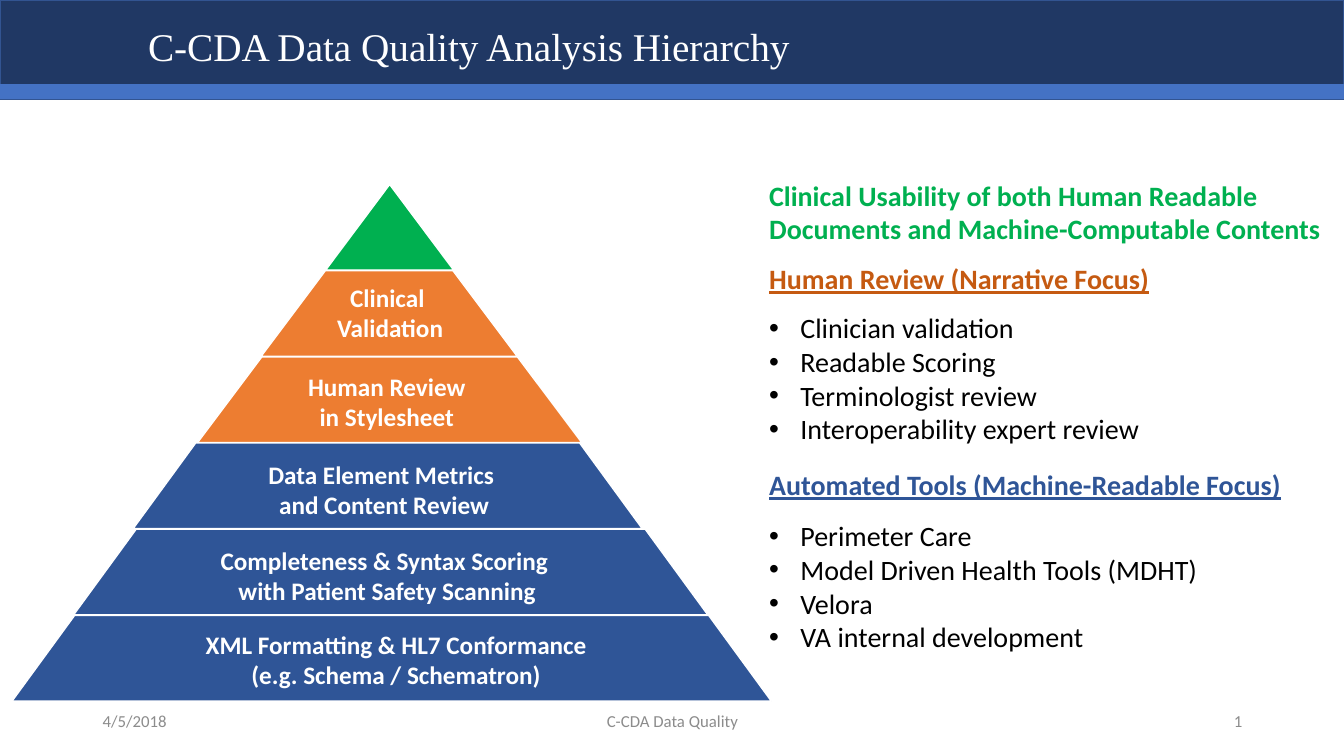
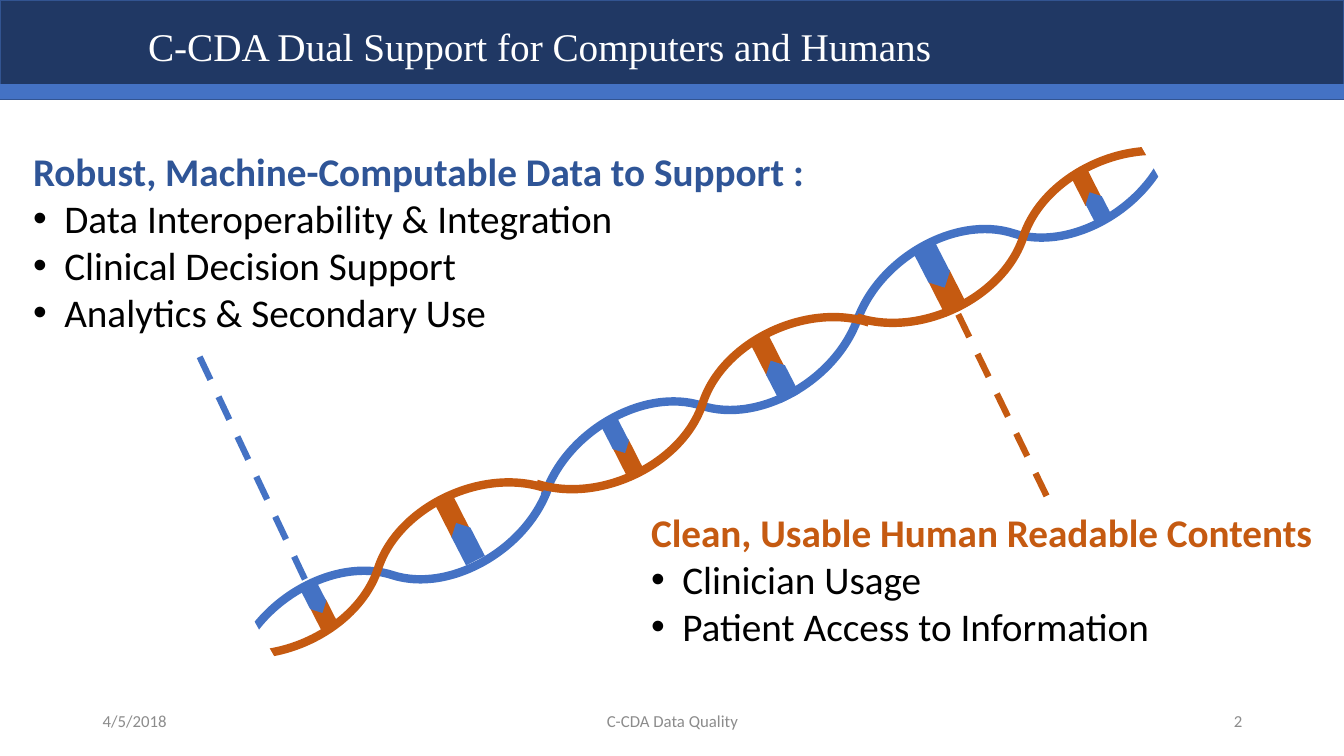
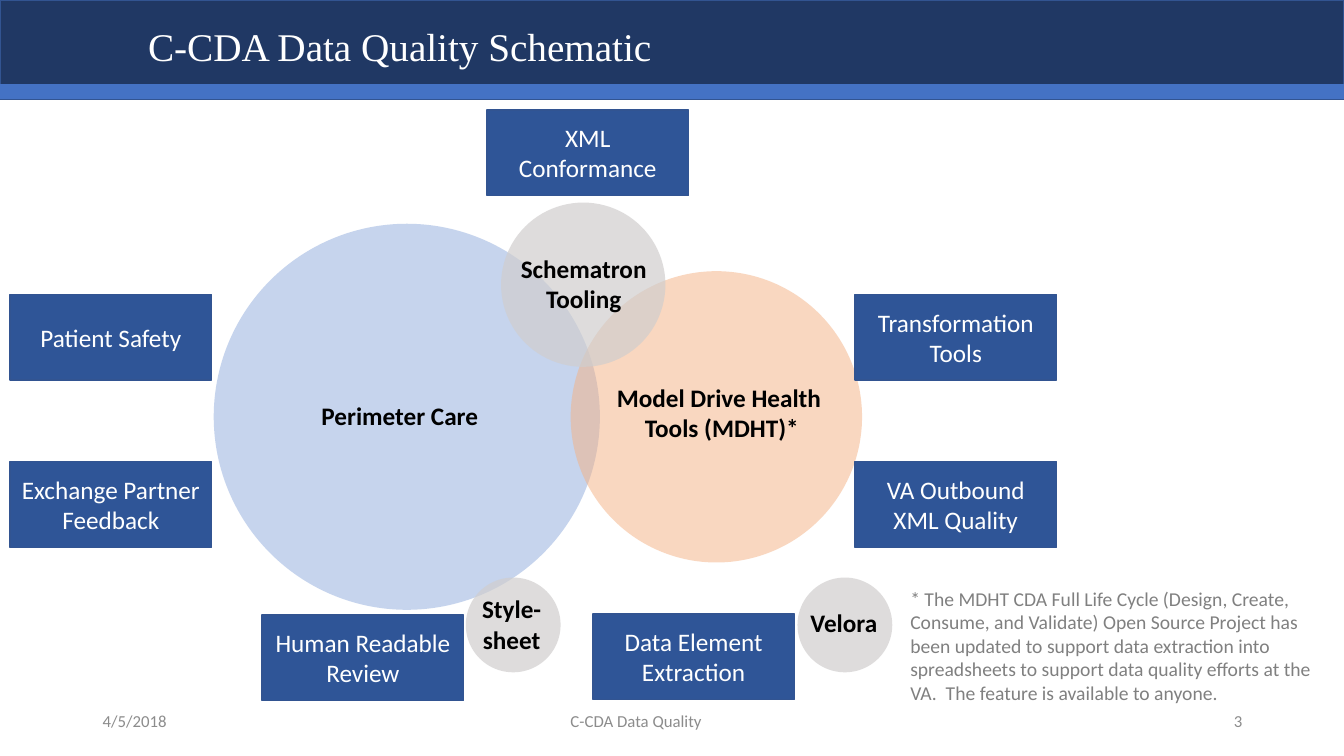
from pptx import Presentation
from pptx.dml.color import RGBColor
from pptx.enum.dml import MSO_LINE
from pptx.enum.shapes import MSO_CONNECTOR, MSO_SHAPE
from pptx.enum.text import MSO_ANCHOR, MSO_AUTO_SIZE, PP_ALIGN
from pptx.oxml.ns import qn
from pptx.util import Inches, Pt
from lxml import etree

RECT, OVAL, PLATE = MSO_SHAPE.RECTANGLE, MSO_SHAPE.OVAL, MSO_SHAPE.PENTAGON
TRIANGLE, TRAPEZOID = MSO_SHAPE.ISOSCELES_TRIANGLE, MSO_SHAPE.TRAPEZOID
STRAIGHT, CURVE = MSO_CONNECTOR.STRAIGHT, MSO_CONNECTOR.CURVE
LEFT, CENTER, RIGHT = PP_ALIGN.LEFT, PP_ALIGN.CENTER, PP_ALIGN.RIGHT
TOP, MIDDLE = MSO_ANCHOR.TOP, MSO_ANCHOR.MIDDLE
GROW = MSO_AUTO_SIZE.SHAPE_TO_FIT_TEXT
DASH = MSO_LINE.DASH

COLORS = {
    "navy": "203864", "edge": "325491", "blue": "4472C4", "deep": "2F5597",
    "green": "00B050", "orange": "ED7D31", "rust": "C55A11", "white": "FFFFFF",
    "black": "000000", "footer": "8C8C8C", "note": "808080",
    "pale blue": "8FAADC", "peach": "F4B183", "gray": "D0CECE",
}

# Shared text formats
TITLE = {"name": "Times New Roman", "size": 28, "color": "white"}
FOOTER = {"name": "Calibri", "size": 12, "color": "footer"}
TIER_TEXT = {"name": "Calibri", "size": 18, "bold": True, "color": "white"}
BOX_TEXT = TIER_TEXT | {"bold": False}
CIRCLE_TEXT = TIER_TEXT | {"color": "black"}
NOTE = {"name": "Calibri", "size": 14, "color": "note"}

# Slide content
TITLES = [
    "C-CDA Data Quality Analysis Hierarchy",
    "C-CDA Dual Support for Computers and Humans",
    "C-CDA Data Quality Schematic",
]
FOOTER_LEFTS = [4.42, 4.42, 4.06]

TIER_TOP, TIER_PITCH, TIER_HEIGHT = 1.83, 0.855, 0.85
TIERS = [  # preset, left, width, slant, fill
    (TRIANGLE, 3.23, 1.27, 0.5, "green"),
    (TRAPEZOID, 2.59, 2.54, 0.75, "orange"),
    (TRAPEZOID, 1.96, 3.81, 0.75, "orange"),
    (TRAPEZOID, 1.32, 5.05, 0.73, "deep"),
    (TRAPEZOID, 0.73, 6.29, 0.73, "deep"),
    (TRAPEZOID, 0.12, 7.53, 0.73, "deep"),
]
TIER_LABELS = [  # place, text, wrap
    ((3.18, 2.75, 1.38, 0.77), "Clinical \nValidation", False),
    ((2.95, 3.63, 1.83, 0.71), "Human Review \nin Stylesheet ", False),
    ((2.09, 4.51, 3.44, 0.71), "Data Element Metrics \nand Content Review", True),
    ((1.27, 5.36, 5.14, 0.77),
     "Completeness & Syntax Scoring \nwith Patient Safety Scanning", True),
    ((1.73, 6.19, 4.4, 0.77),
     "XML Formatting & HL7 Conformance\n(e.g. Schema / Schematron)", False),
]
USABILITY = ("Clinical Usability of both Human Readable Documents "
             "and Machine-Computable Contents")
REVIEW_LISTS = [  # place, heading, colour, gap after heading, bullets
    ((7.53, 2.55, 4, 2.36), "Human Review (Narrative Focus)", "rust", 11,
     ["Clinician validation", "Readable Scoring ", "Terminologist review",
      "Interoperability expert review"]),
    ((7.53, 4.59, 5.32, 2.02), "Automated Tools (Machine-Readable Focus)", "deep", 12.5,
     ["Perimeter Care", "Model Driven Health Tools (MDHT)", "Velora",
      "VA internal development"]),
]

SUPPORT_LISTS = [
    ((0.23, 1.41, 7.94, 1.99), "Robust, Machine-Computable Data to Support :", "deep", 0,
     ["Data Interoperability & Integration", "Clinical Decision Support ",
      "Analytics & Secondary Use"]),
    ((6.36, 4.99, 6.84, 1.51), "Clean, Usable Human Readable Contents", "rust", 0,
     ["Clinician Usage", "Patient Access to Information"]),
]
LEADERS = [
    ((1.98, 3.54), (3.04, 5.78), "blue"),
    ((10.38, 4.92), (9.49, 3.09), "rust"),
]
STRANDS = [  # colour, width, height, turn, starts at right, left-top corners
    ("blue", 2.66, 2.41, 288, True, [(8.72, 1.11), (5.63, 2.82), (2.56, 4.5)]),
    ("rust", 2.64, 2.54, 18, False, [(2.43, 4.37), (5.65, 2.73), (8.83, 1.08)]),
]
RUNGS = [  # rust half, blue half, half turn
    ((3.07, 6.02, 0.29, 0.18), (2.95, 5.84, 0.34, 0.18), 0),
    ((4.29, 5.02, 0.39, 0.2), (4.41, 5.27, 0.42, 0.21), 180),
    ((7.41, 3.41, 0.39, 0.2), (7.53, 3.66, 0.42, 0.21), 180),
    ((6.06, 4.46, 0.34, 0.18), (5.93, 4.24, 0.37, 0.18), 0),
    ((9.2, 2.79, 0.4, 0.24), (9.02, 2.52, 0.48, 0.24), 0),
    ((10.6, 1.76, 0.34, 0.18), (10.72, 1.96, 0.32, 0.18), 180),
]
STRAND_ENDS = [(11.44, 1.14), (2.03, 6.15)]

CIRCLES = [  # left, top, diameter, fill, opacity, label place, label
    (2.12, 2.22, 3.83, "pale blue", 50, (2.99, 3.92, 1.95, 0.4), "Perimeter Care"),
    (5.66, 2.69, 2.89, "peach", 50, (6.01, 3.74, 2.3, 0.71),
     "Model Drive Health \nTools (MDHT)*"),
    (7.91, 5.73, 0.94, "gray", 70, (7.93, 5.98, 0.88, 0.4), "Velora"),
    (4.97, 2.01, 1.63, "gray", 70, (5.06, 2.46, 1.46, 0.71), "Schematron\nTooling"),
    (4.62, 5.73, 0.94, "gray", 70, (4.68, 5.84, 0.79, 0.71), "Style-\nsheet"),
]
FUNCTIONS = [
    (4.83, 1.09, "XML\nConformance"),
    (2.6, 6.1, "Human Readable Review"),
    (5.88, 6.09, "Data Element Extraction"),
    (0.1, 2.92, "Patient Safety"),
    (0.1, 4.58, "Exchange Partner Feedback"),
    (8.48, 2.92, "Transformation Tools"),
    (8.48, 4.58, "VA Outbound XML Quality"),
]
FOOTNOTE = ("* The MDHT CDA Full Life Cycle (Design, Create, Consume, and Validate) "
            "Open Source Project has been updated to support data extraction into "
            "spreadsheets to support data quality efforts at the VA.  "
            "The feature is available to anyone.")


def rgb(name):
    return RGBColor.from_string(COLORS[name])


def inches(values):
    return [Inches(value) for value in values]


def draw(shapes, preset, place, fill, line=None, opacity=100, turn=0):
    shape = shapes.add_shape(preset, *inches(place))
    shape.shadow.inherit = False
    shape.rotation = turn
    shape.fill.solid()
    shape.fill.fore_color.rgb = rgb(fill)
    if opacity < 100:
        color = shape._element.spPr.find(".//" + qn("a:srgbClr"))
        etree.SubElement(color, qn("a:alpha"), val=str(opacity * 1000))
    if line:
        shape.line.color.rgb = rgb(line)
        shape.line.width = Pt(1)
    else:
        shape.line.fill.background()
    return shape


def connect(shapes, kind, start, end, color, width):
    line = shapes.add_connector(kind, *inches(start + end))
    line.line.color.rgb = rgb(color)
    line.line.width = Pt(width)
    etree.SubElement(line._element.spPr, qn("a:effectLst"))
    return line


def fill_para(para, text, style, align=LEFT):
    para.text = text
    para.alignment = align
    for span in para.runs:
        for key, value in style.items():
            if key == "color":
                span.font.color.rgb = rgb(value)
            else:
                setattr(span.font, key, Pt(value) if key == "size" else value)


def write(page, place, text, style, align=LEFT, anchor=TOP, wrap=True, grow=True):
    box = page.shapes.add_textbox(*inches(place))
    frame = box.text_frame
    frame.word_wrap = wrap
    frame.vertical_anchor = anchor
    if grow:
        frame.auto_size = GROW
    fill_para(frame.paragraphs[0], text, style, align)
    return frame


def write_list(page, place, heading, color, gap, items, size, underline):
    style = {"name": "Calibri", "size": size, "color": color, "bold": True,
             "underline": underline}
    frame = write(page, place, heading, style, wrap=False)
    frame.paragraphs[0].space_after = Pt(gap)
    for item in items:
        para = frame.add_paragraph()
        fill_para(para, item, {"name": "Calibri", "size": size, "color": "black"})
        props = para._p.get_or_add_pPr()
        props.set("marL", str(Inches(0.31)))
        props.set("indent", str(-Inches(0.31)))
        etree.SubElement(props, qn("a:buFont"), typeface="Arial")
        etree.SubElement(props, qn("a:buChar"), char="\u2022")


def add_page(deck, number):
    page = deck.slides.add_slide(deck.slide_layouts[6])
    draw(page.shapes, RECT, (0, 0, 13.33, 0.99), "navy", "edge")
    draw(page.shapes, RECT, (0, 0.84, 13.33, 0.14), "blue", "blue")
    title = write(page, (1.37, 0.15, 11.5, 0.67), TITLES[number - 1], TITLE,
                  anchor=MIDDLE, grow=False)
    title.paragraphs[0].line_spacing = 0.9
    for left, width, text, align in [
        (0.92, 3, "4/5/2018", LEFT),
        (FOOTER_LEFTS[number - 1], 4.5, "C-CDA Data Quality", CENTER),
        (9.42, 3, str(number), RIGHT),
    ]:
        write(page, (left, 6.95, width, 0.4), text, FOOTER, align, MIDDLE, grow=False)
    return page


def build_hierarchy(page):
    # Pyramid
    for row, (preset, left, width, slant, fill) in enumerate(TIERS):
        place = (left, TIER_TOP + row * TIER_PITCH, width, TIER_HEIGHT)
        tier = draw(page.shapes, preset, place, fill, "white")
        tier.adjustments[0] = slant
    for place, text, wrap in TIER_LABELS:
        write(page, place, text, TIER_TEXT, CENTER, wrap=wrap)
    # Explanations
    write(page, (7.53, 1.72, 5.81, 0.77), USABILITY,
          TIER_TEXT | {"size": 20, "color": "green"})
    for entry in REVIEW_LISTS:
        write_list(page, *entry, size=20, underline=True)


def build_helix(page):
    for entry in SUPPORT_LISTS:
        write_list(page, *entry, size=28, underline=False)
    for start, end, color in LEADERS:
        connect(page.shapes, STRAIGHT, start, end, color, 4.5).line.dash_style = DASH
    # Strands and rungs
    helix = page.shapes.add_group_shape().shapes
    for color, width, height, turn, from_right, corners in STRANDS:
        for left, top in corners:
            near, far = (left + width, left) if from_right else (left, left + width)
            strand = connect(helix, CURVE, (near, top + height), (far, top), color, 6)
            strand._element.spPr.find(qn("a:xfrm")).set("rot", str(turn * 60000))
    for rust_half, blue_half, half_turn in RUNGS:
        draw(helix, RECT, rust_half, "rust", turn=63.1 + half_turn)
        draw(helix, PLATE, blue_half, "blue", turn=62.8 + half_turn)
    # Trimmed strand ends
    for left, top in STRAND_ENDS:
        draw(page.shapes, RECT, (left, top, 0.68, 0.87), "white", turn=330.4)


def build_schematic(page):
    for left, top, size, fill, opacity, _, _ in CIRCLES:
        draw(page.shapes, OVAL, (left, top, size, size), fill, opacity=opacity)
    for left, top, text in FUNCTIONS:
        box = draw(page.shapes, RECT, (left, top, 2, 0.85), "deep", "edge")
        box.text_frame.word_wrap = True
        box.text_frame.vertical_anchor = MIDDLE
        fill_para(box.text_frame.paragraphs[0], text, BOX_TEXT, CENTER)
    for *_, place, text in CIRCLES:
        write(page, place, text, CIRCLE_TEXT, CENTER, wrap=False)
    write(page, (8.93, 5.77, 4.26, 1.28), FOOTNOTE, NOTE)


deck = Presentation()
deck.slide_width, deck.slide_height = Inches(13.33), Inches(7.5)
for number, build in enumerate([build_hierarchy, build_helix, build_schematic], 1):
    build(add_page(deck, number))
deck.save("out.pptx")
